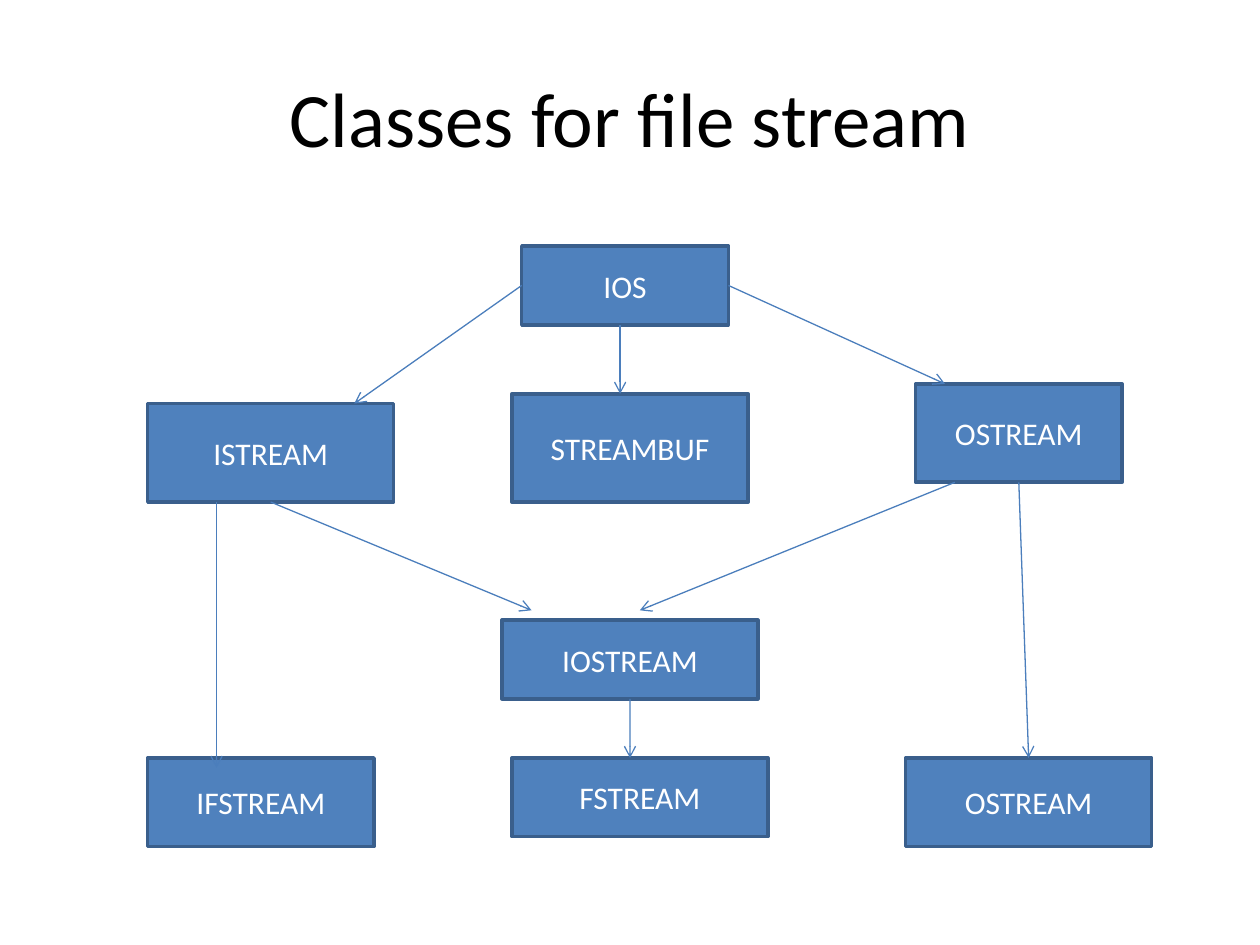
from typing import NamedTuple, Optional

from lxml.etree import SubElement
from pptx import Presentation
from pptx.dml.color import RGBColor
from pptx.enum.shapes import MSO_CONNECTOR, MSO_SHAPE
from pptx.enum.text import MSO_ANCHOR, PP_ALIGN
from pptx.oxml.ns import qn
from pptx.util import Inches, Pt

# Grid of 128 columns by 96 rows
CELL = 10 / 128
TOP, LEFT, BOTTOM, RIGHT = range(4)


class Box(NamedTuple):
    key: str
    text: str
    col: float
    row: float
    cols: float
    rows: float


class Arrow(NamedTuple):
    start: tuple[float, float]
    end: tuple[float, float]
    begin: Optional[tuple[str, int]] = None  # box key and side
    finish: Optional[tuple[str, int]] = None


BOXES = [
    Box("ios", "IOS", 53, 25, 21, 8),
    Box("istream", "ISTREAM", 15, 41, 25, 10),
    Box("streambuf", "STREAMBUF", 52, 40, 24, 11),
    Box("ostream", "OSTREAM", 93, 39, 21, 10),
    Box("iostream", "IOSTREAM", 51, 63, 26, 8),
    Box("ifstream", "IFSTREAM", 15, 77, 23, 9),
    Box("fstream", "FSTREAM", 52, 77, 26, 8),
    Box("ofstream", "OSTREAM", 92, 77, 25, 9),
]

ARROWS = [
    Arrow((63, 33), (63, 40)),
    Arrow((64, 71), (64, 77), begin=("iostream", BOTTOM)),
    Arrow((22, 51), (22, 78)),
    Arrow((103.5, 49), (104.5, 77), ("ostream", BOTTOM), ("ofstream", TOP)),
    Arrow((53, 29), (36, 41), begin=("ios", LEFT)),
    Arrow((74, 29), (96, 39), begin=("ios", RIGHT)),
    Arrow((27.5, 51), (54, 62), begin=("istream", BOTTOM)),
    Arrow((97, 49), (65, 62)),
]


def grid(n: float) -> int:
    return Inches(n * CELL)


def rgb(value: str) -> RGBColor:
    return RGBColor.from_string(value)


def write(tf, text: str, *, size: float, color: str, font: str = "Calibri") -> None:
    tf.word_wrap = True
    tf.vertical_anchor = MSO_ANCHOR.MIDDLE
    p = tf.paragraphs[0]
    p.alignment = PP_ALIGN.CENTER
    r = p.add_run()
    r.text = text
    r.font.name, r.font.size = font, Pt(size)
    r.font.color.rgb = rgb(color)


def draw_box(s, box: Box):
    sp = s.shapes.add_shape(MSO_SHAPE.RECTANGLE, grid(box.col), grid(box.row),
                            grid(box.cols), grid(box.rows))
    sp.shadow.inherit = False
    sp.fill.solid()
    sp.fill.fore_color.rgb = rgb("4F81BD")
    sp.line.color.rgb = rgb("3A5F8C")
    sp.line.width = Pt(2)
    write(sp.text_frame, box.text, size=18, color="FFFFFF")
    return sp


def draw_arrow(s, arrow: Arrow, boxes: dict) -> None:
    ends = [grid(n) for n in arrow.start + arrow.end]
    cx = s.shapes.add_connector(MSO_CONNECTOR.STRAIGHT, *ends)
    if arrow.begin:
        key, side = arrow.begin
        cx.begin_connect(boxes[key], side)
    if arrow.finish:
        key, side = arrow.finish
        cx.end_connect(boxes[key], side)
    cx.line.color.rgb = rgb("4B7EBC")
    cx.line.width = Pt(0.75)
    # Open arrowhead, no shadow
    SubElement(cx.line._get_or_add_ln(), qn("a:tailEnd"), type="arrow")
    SubElement(cx._element.spPr, qn("a:effectLst"))


def main() -> None:
    prs = Presentation()
    prs.slide_width, prs.slide_height = Inches(10), Inches(7.5)
    s = prs.slides.add_slide(prs.slide_layouts[5])

    # Title
    title = s.shapes.title
    title.left, title.top = Inches(0.5), Inches(0.3)
    title.width, title.height = Inches(9), Inches(1.25)
    write(title.text_frame, "Classes for file stream", size=44, color="000000")

    # Class hierarchy
    boxes = {box.key: draw_box(s, box) for box in BOXES}
    for arrow in ARROWS:
        draw_arrow(s, arrow, boxes)

    prs.save("out.pptx")


if __name__ == "__main__":
    main()
